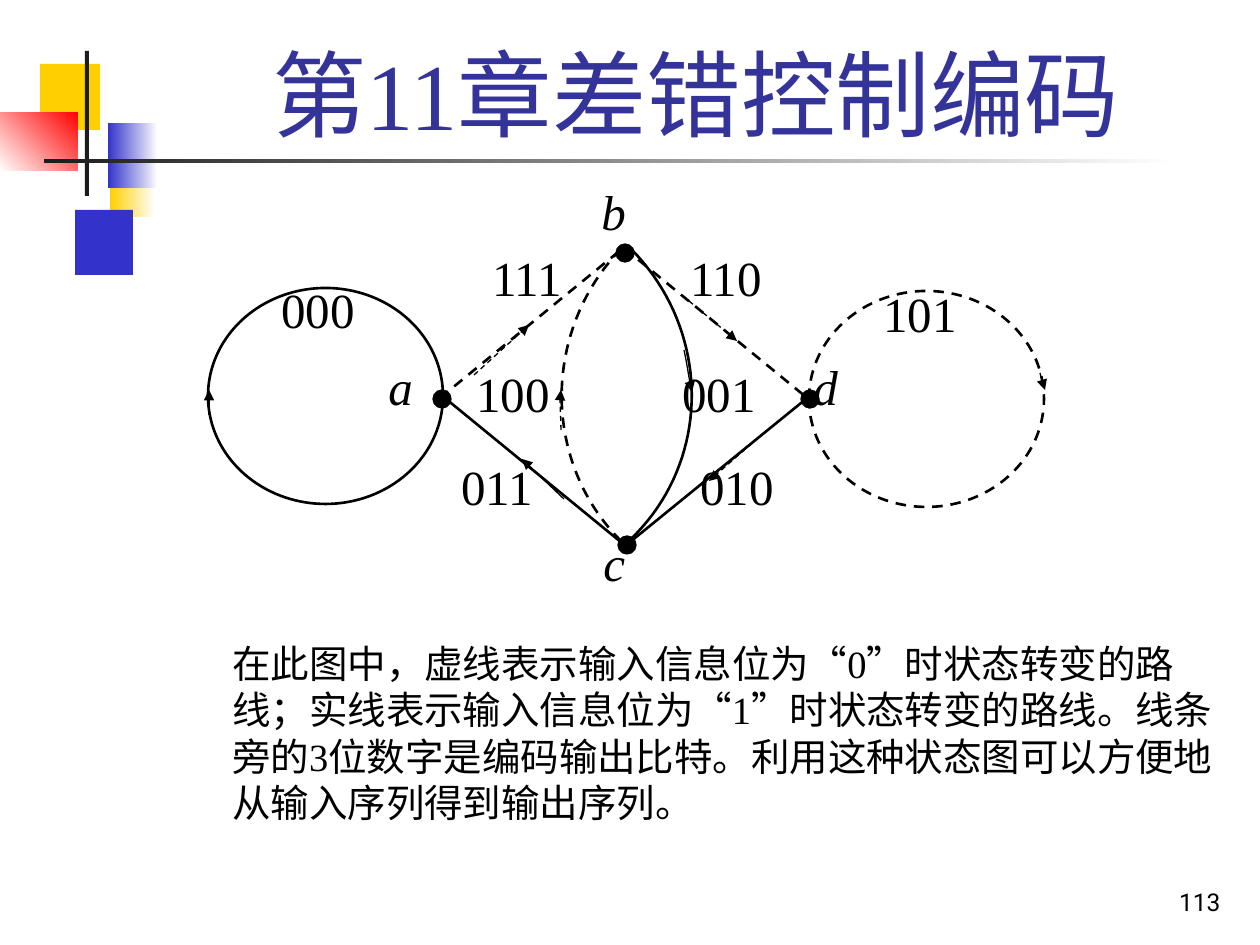
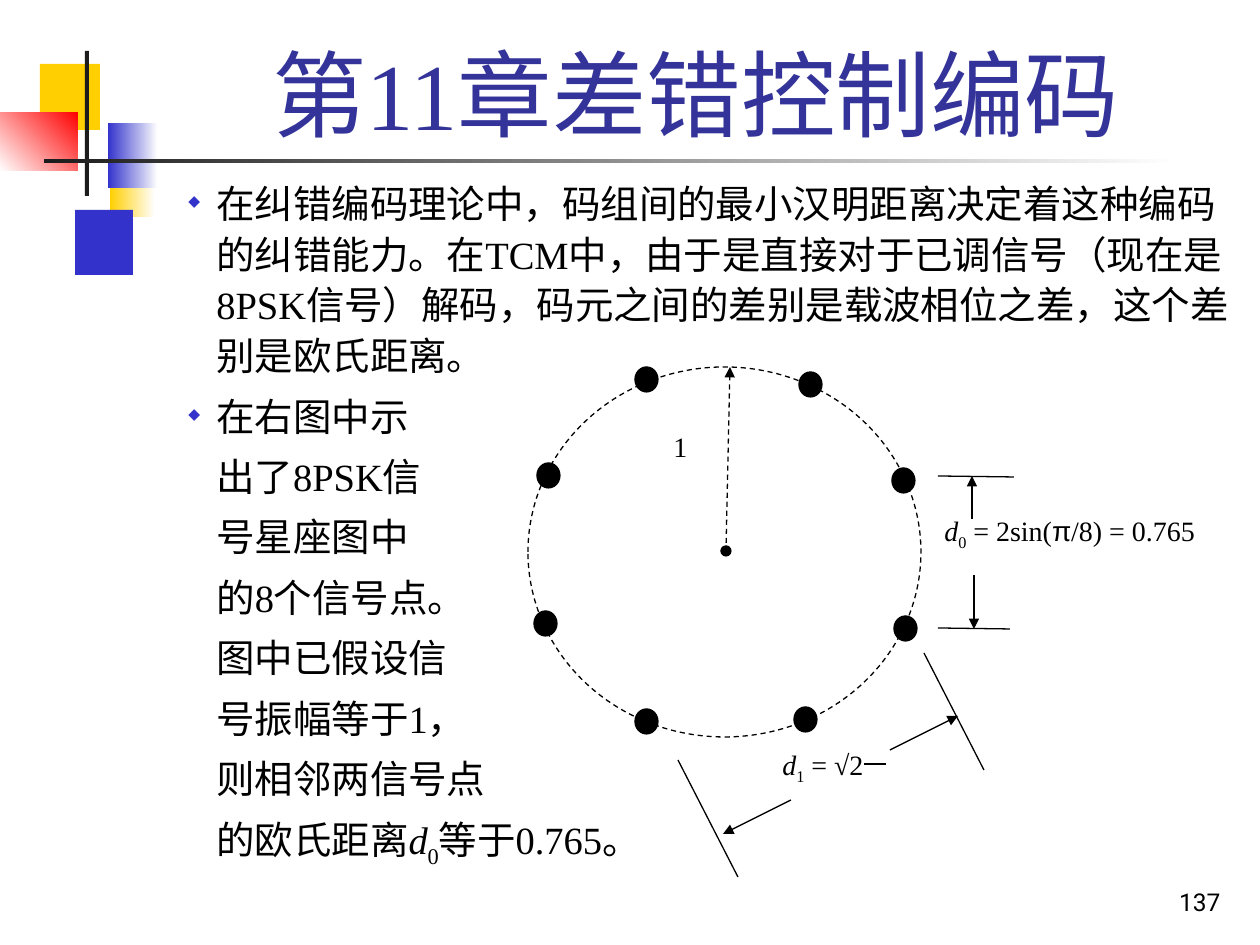
from dataclasses import dataclass

from lxml.etree import SubElement
from pptx import Presentation
from pptx.dml.color import RGBColor
from pptx.enum.dml import MSO_LINE
from pptx.enum.shapes import MSO_CONNECTOR, MSO_SHAPE
from pptx.enum.text import MSO_ANCHOR, PP_ALIGN
from pptx.oxml import parse_xml
from pptx.oxml.ns import nsdecls, qn
from pptx.util import Pt

PX = 7257  # EMU in one px, at 126 px to the inch


@dataclass(frozen=True)
class Theme:
    white: str = "FFFFFF"
    black: str = "000000"
    ink: str = "1C1C1C"
    yellow: str = "FFCF01"
    blue: str = "3333CC"
    red: str = "FF0000"
    title: str = "333399"
    serif: str = "Times New Roman"
    sans: str = "Roboto"
    symbol: str = "Arial"
    title_size: int = 54
    label_size: int = 28
    body_size: int = 22
    formula_size: int = 16
    number_size: int = 14
    thick: float = 1.5
    thin: float = 0.75


theme = Theme()


def write(slide, box, paragraphs, size, color=theme.black, font=theme.serif,
          align=PP_ALIGN.LEFT, anchor=MSO_ANCHOR.TOP):
    """Add a text box; each paragraph is a list of (text, role) runs."""
    frame = slide.shapes.add_textbox(*(v * PX for v in box)).text_frame
    frame.word_wrap = True
    frame.vertical_anchor = anchor
    for index, runs in enumerate(paragraphs):
        paragraph = frame.add_paragraph() if index else frame.paragraphs[0]
        paragraph.alignment = align
        paragraph._p.get_or_add_pPr().set("hangingPunct", "0")
        paragraph.font.size = Pt(size)
        paragraph.font.name = font
        paragraph.font.color.rgb = RGBColor.from_string(color)
        for text, role in runs:
            run = paragraph.add_run()
            run.text = text
            if role == "variable":
                run.font.italic = True
            elif role == "subscript":
                run._r.get_or_add_rPr().set("baseline", "-25000")
            elif role == "symbol":
                run.font.name = theme.symbol
    return frame


def stroke(shape, width, dashed=False, arrow=False):
    """Give a shape or connector a black line and no shadow."""
    shape.line.color.rgb = RGBColor.from_string(theme.black)
    shape.line.width = Pt(width)
    if dashed:
        shape.line.dash_style = MSO_LINE.DASH
    if arrow:
        SubElement(shape.line._get_or_add_ln(), qn("a:tailEnd"), type="triangle")
    SubElement(shape._element.spPr, qn("a:effectLst"))


deck = Presentation()
deck.slide_width, deck.slide_height = 1260 * PX, 945 * PX

# Shared band, title and page number
band = [
    ((110, 151, 45, 66), theme.white, theme.yellow, 180),
    ((75, 210, 58, 65), theme.blue, None, 0),
    ((40, 64, 60, 66), theme.yellow, None, 0),
    ((108, 123, 50, 65), theme.white, theme.blue, 180),
    ((0, 112, 78, 59), theme.red, theme.white, 225),
    ((85, 51, 4, 145), theme.ink, None, 0),
    ((44, 159, 1134, 4), theme.white, theme.ink, 180),
]
for page in ("113", "137"):
    slide = deck.slides.add_slide(deck.slide_layouts[6])
    for box, start, end, angle in band:
        block = slide.shapes.add_shape(MSO_SHAPE.RECTANGLE, *(v * PX for v in box))
        block.shadow.inherit = False
        block.line.fill.background()
        if end:
            block.fill.gradient()
            block.fill.gradient_angle = angle
            for stop, color in zip(block.fill.gradient_stops, (start, end)):
                stop.color.rgb = RGBColor.from_string(color)
        else:
            block.fill.solid()
            block.fill.fore_color.rgb = RGBColor.from_string(start)
    write(slide, (159, 29, 1074, 127), [[("第11章差错控制编码", "")]], theme.title_size,
          theme.title, align=PP_ALIGN.CENTER, anchor=MSO_ANCHOR.BOTTOM)
    write(slide, (971, 860, 262, 63), [[(page, "")]], theme.number_size,
          font=theme.sans, align=PP_ALIGN.RIGHT, anchor=MSO_ANCHOR.BOTTOM)

state_slide, signal_slide = deck.slides

# State diagram
write(state_slide, (220, 634, 1040, 220), [[(
    "在此图中，虚线表示输入信息位为“0”时状态转变的路线；实线表示输入信息位为“1”时状态转变的路线。"
    "线条旁的3位数字是编码输出比特。利用这种状态图可以方便地从输入序列得到输出序列。", "")]],
    theme.body_size)

for left, top, dashed in ((208, 288, False), (809, 291, True)):
    loop = state_slide.shapes.add_shape(
        MSO_SHAPE.OVAL, left * PX, top * PX, 235 * PX, 216 * PX)
    loop.fill.solid()
    loop.fill.fore_color.rgb = RGBColor.from_string(theme.white)
    stroke(loop, theme.thick, dashed)

transitions = [
    ((440, 398, 622, 249), theme.thick, True, False),
    ((440, 394, 622, 543), theme.thick, False, False),
    ((624, 248, 806, 397), theme.thick, True, False),
    ((624, 547, 806, 399), theme.thick, False, False),
    ((474, 375, 529, 325), theme.thin, True, True),
    ((766, 431, 709, 481), theme.thin, True, True),
    ((564, 499, 522, 459), theme.thin, False, True),
    ((689, 301, 737, 341), theme.thin, True, True),
    ((209, 415, 209, 390), theme.thin, False, True),
]
for ends, width, dashed, arrow in transitions:
    route = state_slide.shapes.add_connector(
        MSO_CONNECTOR.STRAIGHT, *(v * PX for v in ends))
    stroke(route, width, dashed, arrow)

# Cubic curves: start, two controls, end
arcs = [
    (((631, 249), (712, 331), (712, 461), (631, 539)), theme.thick, False, False),
    (((621, 249), (542, 331), (542, 462), (621, 541)), theme.thick, True, False),
    (((561, 430), (561, 413), (559, 398), (561, 390)), theme.thin, True, True),
    (((684, 350), (688, 368), (690, 386), (692, 392)), theme.thin, False, True),
    (((1040, 373), (1042, 381), (1044, 386), (1045, 390)), theme.thin, True, True),
]
for controls, width, dashed, arrow in arcs:
    steps = 6 if arrow else 40
    points = []
    for step in range(steps + 1):
        t = step / steps
        weights = ((1 - t) ** 3, 3 * t * (1 - t) ** 2, 3 * t ** 2 * (1 - t), t ** 3)
        points.append(tuple(
            round(PX * sum(w * v for w, v in zip(weights, axis)))
            for axis in zip(*controls)))
    builder = state_slide.shapes.build_freeform(*points[0])
    builder.add_line_segments(points[1:], close=False)
    arc = builder.convert_to_shape()
    arc.fill.background()
    stroke(arc, width, dashed, arrow)

states = {
    "a": ((433, 390), (376, 350)),
    "b": ((616, 244), (589, 175)),
    "c": ((618, 536), (591, 526)),
    "d": ((801, 390), (801, 350)),
}
for name, ((left, top), corner) in states.items():
    node = state_slide.shapes.add_shape(
        MSO_SHAPE.OVAL, left * PX, top * PX, 18 * PX, 18 * PX)
    node.fill.solid()
    node.fill.fore_color.rgb = RGBColor.from_string(theme.black)
    stroke(node, theme.thin)
    write(state_slide, (*corner, 93, 83), [[(name, "variable")]], theme.label_size)

output_bits = {
    "000": (269, 273), "111": (480, 241), "101": (871, 277), "110": (678, 241),
    "010": (688, 450), "011": (449, 450), "100": (464, 357), "001": (670, 357),
}
for bits, corner in output_bits.items():
    write(state_slide, (*corner, 115, 83), [[(bits, "")]], theme.label_size)

# Signal constellation
points_text = [
    [("在纠错编码理论中，码组间的最小汉明距离决定着这种编码的纠错能力。在TCM中，由于是直接对于"
      "已调信号（现在是8PSK信号）解码，码元之间的差别是载波相位之差，这个差别是欧氏距离。", "")],
    [("在右图中示", "")],
    [("出了8PSK信", "")],
    [("号星座图中", "")],
    [("的8个信号点。", "")],
    [("图中已假设信", "")],
    [("号振幅等于1，", "")],
    [("则相邻两信号点", "")],
    [("的欧氏距离", ""), ("d", "variable"), ("0", "subscript"), ("等于0.765。", "")],
]
body = write(signal_slide, (172, 169, 1088, 776), points_text, theme.body_size)
for index, paragraph in enumerate(body.paragraphs):
    properties = paragraph._p.get_or_add_pPr()
    properties.set("marL", str(32 * PX))
    if index < 2:
        properties.set("indent", str(-28 * PX))
        bullet = parse_xml(
            f'<a:pPr {nsdecls("a")}><a:buClr><a:srgbClr val="{theme.blue}"/></a:buClr>'
            '<a:buSzPct val="40000"/><a:buChar char="◆"/></a:pPr>')
        for place, part in enumerate(list(bullet)):
            properties.insert(place, part)
    paragraph.line_spacing = 1.1
    if index:
        paragraph.space_before = Pt(5.5)

unit_circle = signal_slide.shapes.add_shape(
    MSO_SHAPE.OVAL, 528 * PX, 367 * PX, 393 * PX, 370 * PX)
unit_circle.fill.background()
stroke(unit_circle, theme.thin, dashed=True)

signal_corners = [(635, 709), (635, 367), (537, 463), (534, 611),
                  (794, 707), (894, 616), (892, 468), (799, 372)]
dots = [(721, 546, 10, 10)] + [(*corner, 23, 25) for corner in signal_corners]
for box in dots:
    dot = signal_slide.shapes.add_shape(MSO_SHAPE.OVAL, *(v * PX for v in box))
    dot.fill.solid()
    dot.fill.fore_color.rgb = RGBColor.from_string(theme.black)
    stroke(dot, theme.thin)

measures = [
    ((726, 552, 730, 367), True, True),
    ((938, 476, 1014, 477), False, False),
    ((938, 628, 1010, 629), False, False),
    ((974, 575, 974, 629), False, True),
    ((972, 519, 972, 476), False, True),
    ((678, 760, 738, 877), False, False),
    ((924, 653, 984, 770), False, False),
    ((864, 764, 886, 764), False, False),
    ((890, 750, 958, 716), False, True),
    ((791, 800, 723, 834), False, True),
]
for ends, dashed, arrow in measures:
    measure = signal_slide.shapes.add_connector(
        MSO_CONNECTOR.STRAIGHT, *(v * PX for v in ends))
    stroke(measure, theme.thin, dashed, arrow)

formulas = [
    ((661, 423, 87, 82), [("1", "")]),
    ((932, 507, 328, 82), [("d", "variable"), ("0", "subscript"), (" = 2sin(", ""),
                           ("π", "symbol"), ("/8) = 0.765", "")]),
    ((770, 741, 151, 66), [("d", "variable"), ("1", "subscript"), (" = √2", "")]),
]
for box, runs in formulas:
    write(signal_slide, box, [runs], theme.formula_size)

deck.save("out.pptx")
